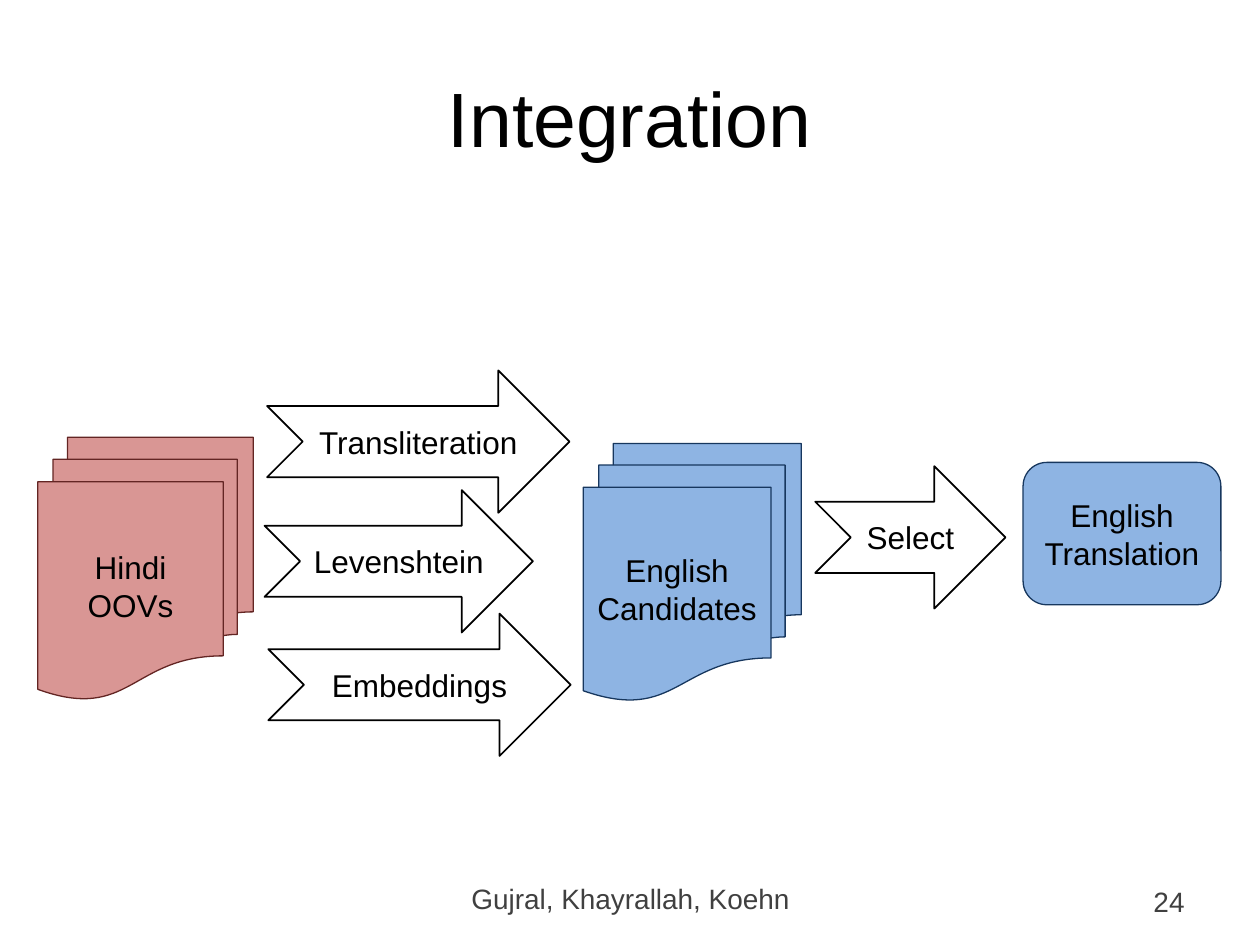
from pptx import Presentation
from pptx import util as u
from pptx.dml import color
from pptx.enum import shapes, text

BLACK, GREY = "000000", "404040"
RED, DARK_RED = "D99694", "632523"
BLUE, DARK_BLUE = "8EB4E3", "17375E"
KIND = shapes.MSO_SHAPE


def rgb(value):
    return color.RGBColor.from_string(value)


class SlideBuilder:
    font = "Arial"
    body_size = 18
    inset = 0.05

    def __init__(self, prs):
        self.s = prs.slides.add_slide(prs.slide_layouts[5])

    def set_text(self, sp, lines, size, ink=BLACK, align="CENTER", anchor="MIDDLE", inset=0.1):
        tf = sp.text_frame
        margin = u.Inches(inset)
        frame = {"word_wrap": True, "auto_size": text.MSO_AUTO_SIZE.NONE,
                 "vertical_anchor": text.MSO_ANCHOR[anchor],
                 "margin_left": margin, "margin_right": margin}
        for name, value in frame.items():
            setattr(tf, name, value)
        tf.text = "\n".join(lines)
        for p in tf.paragraphs:
            p.alignment = text.PP_ALIGN[align]
            for r in p.runs:
                for name, value in {"name": self.font, "size": u.Pt(size)}.items():
                    setattr(r.font, name, value)
                r.font.color.rgb = rgb(ink)

    def title(self, words, box):
        sp = self.s.shapes.title
        for name, value in zip(("left", "top", "width", "height"), box):
            setattr(sp, name, u.Inches(value))
        self.set_text(sp, [words], 44)

    def label(self, words, box, **style):
        sp = self.s.shapes.add_textbox(*map(u.Inches, box))
        self.set_text(sp, [words], 16, GREY, **style)

    def shape(self, kind, lines, box, fill=None, line=BLACK, weight=0.75):
        sp = self.s.shapes.add_shape(kind, *map(u.Inches, box))
        sp.shadow.inherit = False
        if fill:
            sp.fill.solid()
            sp.fill.fore_color.rgb = rgb(fill)
        else:
            sp.fill.background()
        sp.line.color.rgb = rgb(line)
        sp.line.width = u.Pt(weight)
        self.set_text(sp, lines, self.body_size, inset=self.inset)

    def arrow(self, words, left, top, width):
        self.shape(KIND.NOTCHED_RIGHT_ARROW, [words], (left, top, width, 1.13), weight=1)


def main():
    prs = Presentation()
    prs.slide_width, prs.slide_height = u.Inches(10), u.Inches(7.5)
    slide = SlideBuilder(prs)

    slide.title("Integration", (0.5, 0.3, 9, 1.25))
    slide.label("Gujral, Khayrallah, Koehn", (3.42, 6.95, 3.17, 0.4), anchor="TOP")
    slide.label("24", (7.17, 6.95, 2.33, 0.4), align="RIGHT")

    slide.shape(KIND.FLOWCHART_MULTIDOCUMENT, ["Hindi", "OOVs"],
                (0.3, 3.47, 1.71, 2.08), RED, DARK_RED)
    slide.shape(KIND.FLOWCHART_MULTIDOCUMENT, ["English Candidates"],
                (4.63, 3.52, 1.73, 2.04), BLUE, DARK_BLUE)
    slide.shape(KIND.ROUNDED_RECTANGLE, ["English", "Translation"],
                (8.12, 3.67, 1.57, 1.13), BLUE, DARK_BLUE)

    for step in (("Transliteration", 2.12, 2.94, 2.4),
                 ("Levenshtein", 2.1, 3.89, 2.13),
                 ("Embeddings", 2.13, 4.87, 2.4),
                 ("Select", 6.47, 3.7, 1.51)):
        slide.arrow(*step)

    prs.save("out.pptx")


if __name__ == "__main__":
    main()
